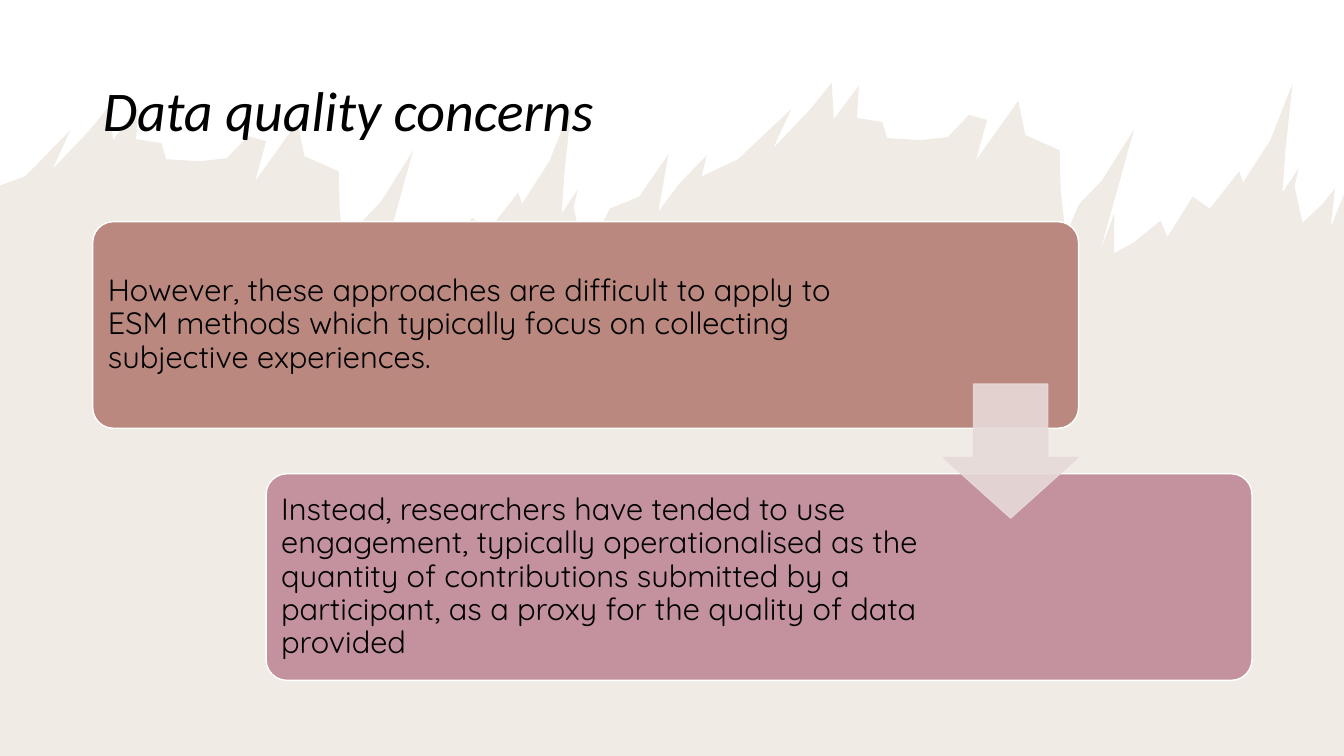
from lxml.etree import SubElement
from pptx import Presentation
from pptx.dml.color import RGBColor
from pptx.enum.shapes import MSO_SHAPE
from pptx.enum.text import MSO_ANCHOR, MSO_AUTO_SIZE, PP_ALIGN
from pptx.oxml.ns import qn
from pptx.util import Inches, Pt

BLACK = RGBColor(0x00, 0x00, 0x00)
WHITE = RGBColor(0xFF, 0xFF, 0xFF)
SAND = RGBColor(0xB7, 0x9D, 0x7A)
CLAY = RGBColor(0xBA, 0x88, 0x7F)
MAUVE = RGBColor(0xC4, 0x92, 0x9F)
BLUSH = RGBColor(0xE7, 0xDA, 0xD8)

WIDTH, HEIGHT = 13.33, 7.5
COLUMNS = ROWS = 100

# Brush edge in inches; the stroke appears twice
STROKE = [
    (0.7, 1.29), (0.52, 1.68), (0.9, 1.28), (1.1, 1.03), (1.12, 1.39), (1.37, 1.06),
    (1.35, 1.38), (1.6, 1.42), (1.65, 1.58), (1.98, 1.6), (2.25, 1.57), (2.46, 1.35),
    (2.64, 1.4), (2.53, 1.8), (2.95, 1.21), (3.02, 1.55), (3.36, 1.7), (3.37, 2.09),
    (3.42, 2.55), (3.55, 2.24), (3.78, 2), (4.1, 1.49), (3.76, 2.71), (3.9, 2.33),
    (3.9, 2.72), (4.09, 2.62), (4.36, 2.4), (4.43, 2.56), (4.68, 2.16), (4.85, 2.28),
    (5.14, 1.91), (5.18, 2.02), (5.45, 1.6), (5.67, 1.04), (5.6, 1.7), (5.57, 2.12),
    (5.73, 1.88), (5.69, 2.06), (5.77, 2.42), (5.97, 2.23),
]
BRIDGE = [(6.05, 2.07), (6.34, 1.95), (6.63, 1.53), (6.53, 2.1), (6.74, 1.82),
          (7.01, 1.54), (6.96, 1.75), (7.32, 1.58)]
LEFT_EDGE = [(0, 1.84), (0.25, 1.75)]
RIGHT_EDGE = [(13.24, 1.87), (13.2, 2.25), (WIDTH, 1.93), (WIDTH, HEIGHT), (0, HEIGHT)]


def write(frame, text, *, font, size, color=BLACK, italic=False, spacing=0.9):
    frame.word_wrap = True
    frame.auto_size = MSO_AUTO_SIZE.NONE
    frame.vertical_anchor = MSO_ANCHOR.MIDDLE
    para = frame.paragraphs[0]
    para.alignment = PP_ALIGN.LEFT
    para.line_spacing = spacing
    span = para.add_run()
    span.text = text
    span.font.name, span.font.size = font, Pt(size)
    span.font.italic, span.font.color.rgb = italic, color


class Page:
    title_font, body_font = "Calibri", "Quicksand"

    def __init__(self, deck):
        self.slide = deck.slides.add_slide(deck.slide_layouts[5])
        self.slide.background.fill.solid()
        self.slide.background.fill.fore_color.rgb = WHITE

    def place(self, column, row, columns, rows):
        return (Inches(column * WIDTH / COLUMNS), Inches(row * HEIGHT / ROWS),
                Inches(columns * WIDTH / COLUMNS), Inches(rows * HEIGHT / ROWS))

    def paint(self, shape, color, line=None, opacity=100):
        shape.shadow.inherit = False
        shape.fill.solid()
        shape.fill.fore_color.rgb = color
        if line is None:
            shape.line.fill.background()
        else:
            shape.line.color.rgb, shape.line.width = line, Pt(1)
        if opacity < 100:
            for tint in shape.element.spPr.iter(qn("a:srgbClr")):
                SubElement(tint, qn("a:alpha"), val=str(opacity * 1000))

    def title(self, text, *area):
        box = self.slide.shapes.title
        box.left, box.top, box.width, box.height = self.place(*area)
        write(box.text_frame, text, font=self.title_font, size=40, italic=True)

    def backdrop(self, points, color, opacity):
        points = [(Inches(x), Inches(y)) for x, y in points]
        builder = self.slide.shapes.build_freeform(*points[0])
        builder.add_line_segments(points[1:], close=True)
        shape = builder.convert_to_shape()
        self.paint(shape, color, opacity=opacity)
        self.slide.shapes.title.element.addprevious(shape.element)

    def preset(self, kind, area, adjustments, color, line, opacity=100):
        shape = self.slide.shapes.add_shape(kind, *self.place(*area))
        for index, value in enumerate(adjustments):
            shape.adjustments[index] = value
        self.paint(shape, color, line, opacity)

    def card(self, text, column, row, text_columns, color):
        self.preset(MSO_SHAPE.ROUNDED_RECTANGLE, (column, row, 73.35, 27.33), [0.1], color, WHITE)
        box = self.slide.shapes.add_textbox(
            *self.place(column + 0.45, row + 0.8, text_columns, 25.73))
        frame = box.text_frame
        frame.margin_left = frame.margin_right = Inches(0.09)
        frame.margin_top = frame.margin_bottom = Inches(0.09)
        write(frame, text, font=self.body_font, size=22)


def main():
    deck = Presentation()
    deck.slide_width, deck.slide_height = Inches(WIDTH), Inches(HEIGHT)
    page = Page(deck)

    # Brush backdrop: the same stroke twice, joined by a bridge
    second_stroke = [(x + 7.15, y - 0.21) for x, y in STROKE]
    page.backdrop(LEFT_EDGE + STROKE + BRIDGE + second_stroke + RIGHT_EDGE, SAND, 20)

    # Title
    page.title("Data quality concerns", 6.9, 5.33, 86.25, 19.33)

    # Two steps
    page.card("However, these approaches are difficult to apply to ESM methods which typically "
              "focus on collecting subjective experiences.", 6.9, 29.33, 57.45, CLAY)
    page.card("Instead, researchers have tended to use engagement, typically operationalised as "
              "the quantity of contributions submitted by a participant, as a proxy for the "
              "quality of data provided", 19.8, 62.67, 49.5, MAUVE)

    # Arrow between the steps
    page.preset(MSO_SHAPE.DOWN_ARROW, (70.2, 50.8, 10, 17.73), [0.55, 0.45], BLUSH, BLUSH, 90)

    deck.save("out.pptx")


if __name__ == "__main__":
    main()
